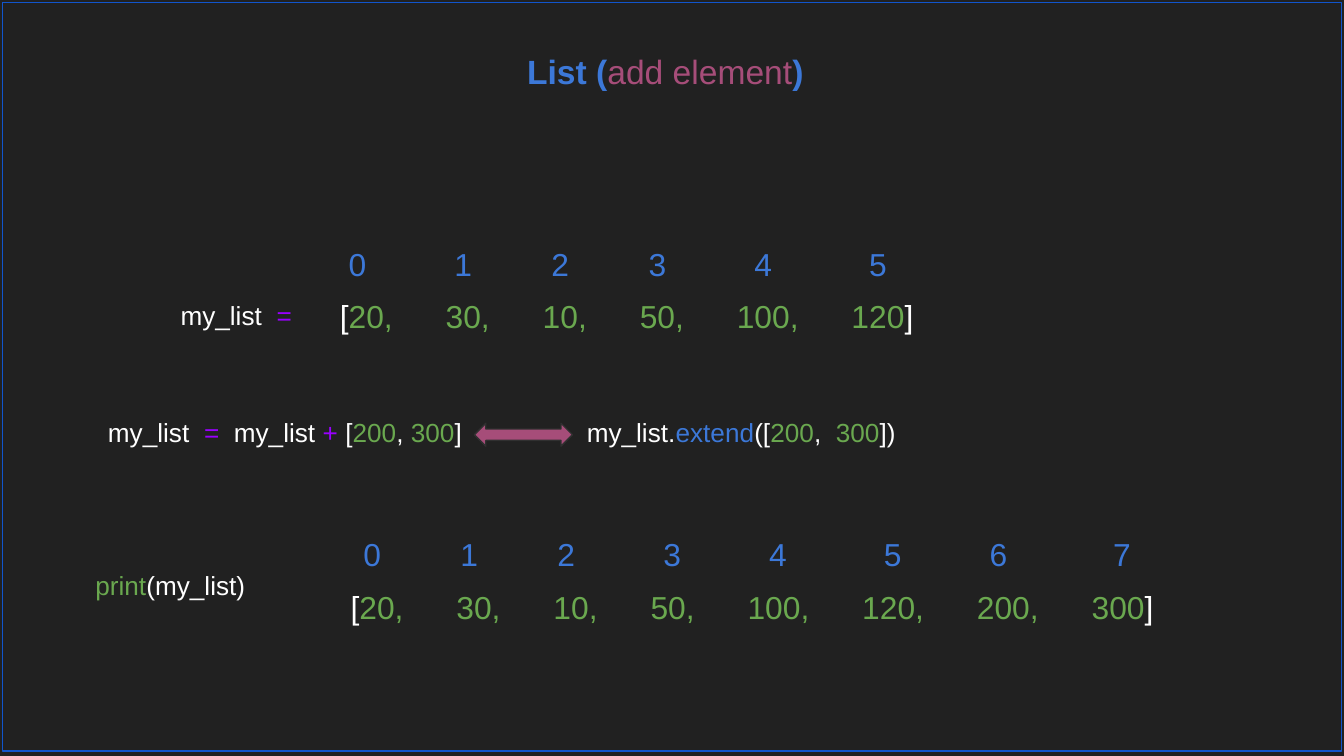
from itertools import accumulate

from pptx import Presentation
from pptx.dml.color import RGBColor
from pptx.enum.shapes import MSO_SHAPE as Shape
from pptx.enum.text import MSO_ANCHOR as Anchor, PP_ALIGN as Align
from pptx.oxml.xmlchemy import OxmlElement
from pptx.util import Inches, Pt

WHITE, GREEN, BLUE = "FFFFFF", "6AA84F", "3C78D8"
PURPLE, PINK = "9900FF", "A64D79"
BACKGROUND, FRAME, ARROW_EDGE = "212121", "1155CC", "303030"

TITLE = [("List (", BLUE, True), ("add element", PINK), (")", BLUE, True)]

STATEMENTS = [
    ((0.36, 4.14, 1.87, 0.44), [("print", GREEN), ("(my_list) ", WHITE)]),
    ((1.06, 2.13, 1.45, 0.44), [("my_list  ", WHITE), ("= ", PURPLE)]),
    ((0.51, 3, 3.22, 0.44), [
        ("my_list  ", WHITE), ("=  ", PURPLE), ("my_list ", WHITE),
        ("+ ", PURPLE), ("[", WHITE), ("200", GREEN), (", ", WHITE),
        ("300", GREEN), ("]", WHITE)]),
    ((4.15, 3, 2.73, 0.44), [
        ("my_list.", WHITE), ("extend", BLUE), ("([", WHITE),
        ("200", GREEN), (",  ", WHITE), ("300", GREEN), ("])", WHITE)]),
]

LISTS = [
    {"values": [20, 30, 10, 50, 100, 120],
     "values_at": (2.43, 2.11, 4.98, 0.49),
     "indexes_at": (2.43, 1.72, 4.33, 0.49),
     "index_gaps": [1, 10, 9, 9, 10, 11]},
    {"values": [20, 30, 10, 50, 100, 120, 200, 300],
     "values_at": (2.51, 4.27, 6.55, 0.49),
     "indexes_at": (2.54, 3.88, 6.3, 0.49),
     "index_gaps": [1, 9, 9, 10, 10, 11, 10, 12]},
]

LIST_SIZE = 17
DIGIT = 0.556 * LIST_SIZE / 72
NARROW = DIGIT / 2
VALUE_GAP = 7 * NARROW


def color(value):
    return RGBColor.from_string(value)


def place(shape, box):
    shape.left, shape.top, shape.width, shape.height = map(Inches, box)


def write(shape, runs, size=14, align=Align.CENTER, tabs=()):
    frame = shape.text_frame
    frame.word_wrap = True
    frame.vertical_anchor = Anchor.TOP
    frame.margin_left = frame.margin_right = Inches(0.1)
    frame.margin_top = frame.margin_bottom = Inches(0.1)
    paragraph = frame.paragraphs[0]
    paragraph.alignment = align
    for words, tint, *bold in runs:
        run = paragraph.add_run()
        run.text = words
        run.font.name = "Arial"
        run.font.size = Pt(size)
        run.font.bold = bool(bold)
        run.font.color.rgb = color(tint)
    if tabs:
        stops = OxmlElement("a:tabLst")
        for position in tabs:
            stop = OxmlElement("a:tab")
            stop.set("pos", str(Inches(position)))
            stop.set("algn", "l")
            stops.append(stop)
        paragraph._p.get_or_add_pPr().append(stops)


def add_text(slide, box, runs, **style):
    write(slide.shapes.add_textbox(*map(Inches, box)), runs, **style)


def add_list(slide, values, values_at, indexes_at, index_gaps):
    row = {"size": LIST_SIZE, "align": Align.LEFT}
    steps = [len(str(value)) * DIGIT + VALUE_GAP for value in values[:-1]]
    value_tabs = list(accumulate(steps, initial=NARROW))[1:]
    joined = ",\t".join(map(str, values))
    add_text(slide, values_at, [("[", WHITE), (joined, GREEN), ("]", WHITE)],
             tabs=value_tabs, **row)

    ends = accumulate(gap * NARROW + DIGIT for gap in index_gaps)
    indexes = "".join(f"\t{index}" for index in range(len(values)))
    add_text(slide, indexes_at, [(indexes, BLUE)],
             tabs=[end - DIGIT for end in ends], **row)


def add_outlined(slide, kind, box, edge, fill=None):
    shape = slide.shapes.add_shape(kind, *map(Inches, box))
    shape.shadow.inherit = False
    shape.line.color.rgb = color(edge)
    shape.line.width = Pt(0.75)
    if fill:
        shape.fill.solid()
        shape.fill.fore_color.rgb = color(fill)
    else:
        shape.fill.background()


def main():
    deck = Presentation()
    deck.slide_width = Inches(10)
    deck.slide_height = deck.slide_width * 9 // 16
    slide = deck.slides.add_slide(deck.slide_layouts[5])
    slide.background.fill.solid()
    slide.background.fill.fore_color.rgb = color(BACKGROUND)

    title = slide.shapes.title
    place(title, (-0.05, 0.28, 10, 0.63))
    write(title, TITLE, size=18)
    for box, runs in STATEMENTS:
        add_text(slide, box, runs)
    for rows in LISTS:
        add_list(slide, **rows)
    add_outlined(slide, Shape.LEFT_RIGHT_ARROW, (3.53, 3.15, 0.73, 0.17),
                 ARROW_EDGE, fill=PINK)
    add_outlined(slide, Shape.RECTANGLE, (0.02, 0.02, 9.96, 5.57), FRAME)
    deck.save("out.pptx")


if __name__ == "__main__":
    main()
